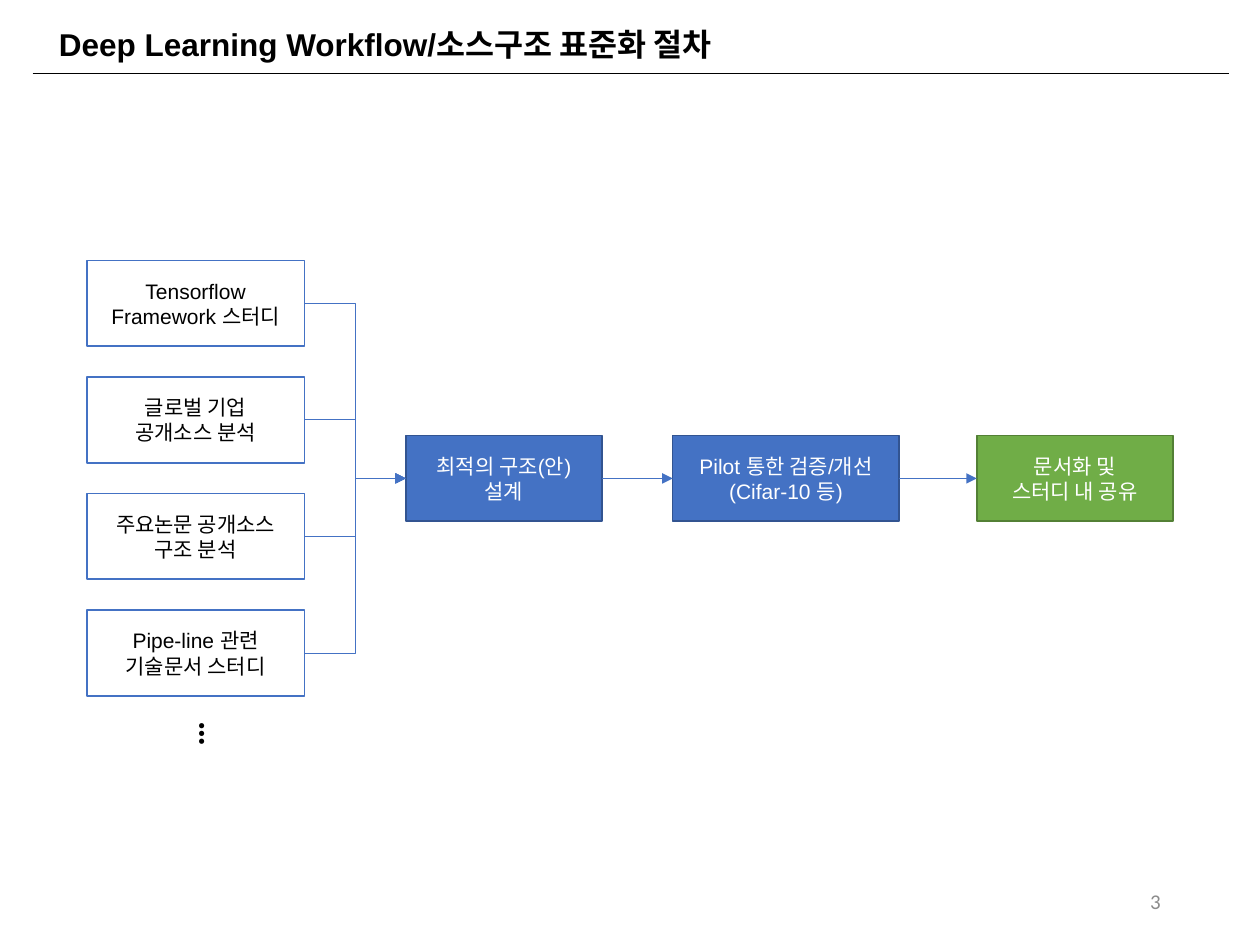
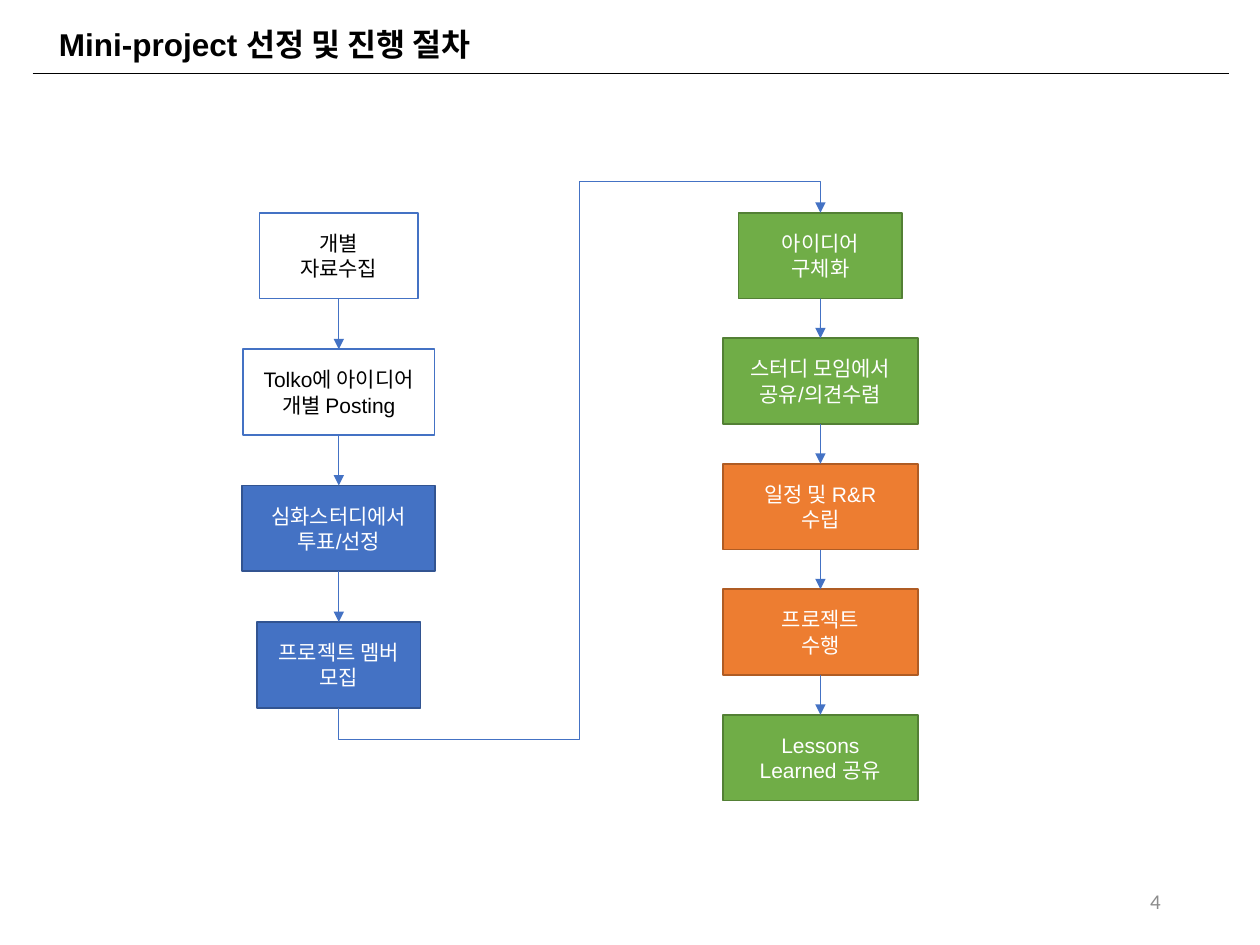
from lxml import etree
from pptx import Presentation
from pptx.dml.color import RGBColor
from pptx.enum import shapes, text
from pptx.oxml import ns
from pptx.util import Cm, Pt

BLACK = RGBColor(0x00, 0x00, 0x00)
WHITE = RGBColor(0xFF, 0xFF, 0xFF)
GRAY = RGBColor(0x8C, 0x8C, 0x8C)
BLUE = RGBColor(0x44, 0x72, 0xC4)
NAVY = RGBColor(0x32, 0x54, 0x91)
GREEN = RGBColor(0x70, 0xAD, 0x47)
MOSS = RGBColor(0x53, 0x80, 0x35)
ORANGE = RGBColor(0xED, 0x7D, 0x31)
RUST = RGBColor(0xAF, 0x5C, 0x24)

PLAIN = (WHITE, BLUE, BLACK)
MAIN = (BLUE, NAVY, WHITE)
SHARE = (GREEN, MOSS, WHITE)
WORK = (ORANGE, RUST, WHITE)

HIGH = 1.73
TOP, LEFT, BOTTOM, RIGHT = range(4)
STRAIGHT = shapes.MSO_CONNECTOR.STRAIGHT
ELBOW = shapes.MSO_CONNECTOR.ELBOW


def write(shape, words, size, color, face="Arial", bold=False,
          align=text.PP_ALIGN.LEFT, anchor=text.MSO_ANCHOR.TOP, wrap=True):
    frame = shape.text_frame
    frame.text = words
    frame.word_wrap = wrap
    frame.vertical_anchor = anchor
    if not wrap:
        frame.auto_size = text.MSO_AUTO_SIZE.SHAPE_TO_FIT_TEXT
    for para in frame.paragraphs:
        para.alignment = align
        para.font.size = Pt(size)
        para.font.name = face
        para.font.bold = bold
        para.font.color.rgb = color


def label(slide, box, words, size, color, **style):
    shape = slide.shapes.add_textbox(*map(Cm, box))
    write(shape, words, size, color, **style)
    return shape


def step(slide, left, top, width, words, theme):
    fill, edge, ink = theme
    shape = slide.shapes.add_shape(shapes.MSO_SHAPE.RECTANGLE,
                                   *map(Cm, (left, top, width, HIGH)))
    shape.shadow.inherit = False
    shape.fill.solid()
    shape.fill.fore_color.rgb = fill
    shape.line.color.rgb = edge
    shape.line.width = Pt(1)
    write(shape, words, 12, ink, align=text.PP_ALIGN.CENTER,
          anchor=text.MSO_ANCHOR.MIDDLE)
    return shape


def line(slide, color, kind=STRAIGHT, ends=(0, 0, 0, 0)):
    wire = slide.shapes.add_connector(kind, *map(Cm, ends))
    wire.line.color.rgb = color
    wire.line.width = Pt(0.5)
    etree.SubElement(wire._element.spPr, ns.qn("a:effectLst"))
    return wire


def link(slide, start, end, out, into, kind=STRAIGHT):
    wire = line(slide, BLUE, kind)
    wire.begin_connect(start, out)
    wire.end_connect(end, into)
    edge = wire._element.spPr.find(ns.qn("a:ln"))
    etree.SubElement(edge, ns.qn("a:tailEnd"), type="triangle")
    return wire


def detour(slide, start, end):
    wire = link(slide, start, end, BOTTOM, TOP, ELBOW)
    wide = wire.width
    tall = wire.height
    mid_x = wire.left + wide // 2
    mid_y = wire.top + tall // 2
    wire.left, wire.top = mid_x - tall // 2, mid_y - wide // 2
    wire.width, wire.height = tall, wide
    props = wire._element.spPr
    frame = props.find(ns.qn("a:xfrm"))
    for key, value in (("rot", "5400000"), ("flipH", "1"), ("flipV", "1")):
        frame.set(key, value)
    shape = props.find(ns.qn("a:prstGeom"))
    shape.set("prst", "bentConnector5")
    guides = shape.find(ns.qn("a:avLst"))
    if guides is None:
        guides = etree.SubElement(shape, ns.qn("a:avLst"))
    for rank, value in enumerate((-6400, 50000, 106400), 1):
        etree.SubElement(guides, ns.qn("a:gd"), name=f"adj{rank}",
                         fmla=f"val {value}")


def base(deck, title, width, number):
    slide = deck.slides.add_slide(deck.slide_layouts[6])
    line(slide, BLACK, ends=(0.66, 1.48, 24.77, 1.48))
    label(slide, (0.94, 0.38, width, 1.02), title, 18, BLACK,
          bold=True, wrap=False)
    label(slide, (17.93, 17.65, 5.72, 1.02), number, 12, GRAY, face="Calibri",
          align=text.PP_ALIGN.RIGHT, anchor=text.MSO_ANCHOR.MIDDLE)
    return slide


def sources(slide, left, top, width, pitch, names):
    boxes = [step(slide, left, top + i * pitch, width, name, PLAIN)
             for i, name in enumerate(names)]
    dots = label(slide, (left + 1.73, top + 9.04, 1.37, 0.76), "…", 20, BLACK,
                 face="Calibri", bold=True, wrap=False)
    dots.text_frame._txBody.bodyPr.set("vert", "eaVert")
    return boxes


def stages(slide, left, top, items):
    boxes = [step(slide, left + shift, top, *item) for shift, *item in items]
    for one, two in zip(boxes, boxes[1:]):
        link(slide, one, two, RIGHT, LEFT)
    return boxes


def column(slide, mid, top, pitch, items):
    boxes = [step(slide, mid - item[0] / 2, top + i * pitch, *item)
             for i, item in enumerate(items)]
    for one, two in zip(boxes, boxes[1:]):
        link(slide, one, two, BOTTOM, TOP)
    return boxes


def workflow(deck):
    slide = base(deck, "Deep Learning Workflow/소스구조 표준화 절차", 14.66, "3")
    inputs = sources(slide, 1.75, 5.25, 4.39, 2.35, (
        "Tensorflow\nFramework 스터디",
        "글로벌 기업\n공개소스 분석",
        "주요논문 공개소스\n구조 분석",
        "Pipe-line 관련\n기술문서 스터디"))
    chain = stages(slide, 8.18, 8.78, (
        (0, 3.96, "최적의 구조(안)\n설계", MAIN),
        (5.38, 4.57, "Pilot 통한 검증/개선\n(Cifar-10 등)", MAIN),
        (11.51, 3.96, "문서화 및\n스터디 내 공유", SHARE)))
    for box in inputs:
        link(slide, box, chain[0], RIGHT, LEFT, ELBOW)


def project(deck):
    slide = base(deck, "Mini-project 선정 및 진행 절차", 9.68, "4")
    choice = column(slide, 6.83, 4.29, 2.75, (
        (3.2, "개별\n자료수집", PLAIN),
        (3.86, "Tolko에 아이디어\n개별 Posting", PLAIN),
        (3.89, "심화스터디에서\n투표/선정", MAIN),
        (3.3, "프로젝트 멤버\n모집", MAIN)))
    action = column(slide, 16.54, 4.29, 2.53, (
        (3.3, "아이디어\n구체화", SHARE),
        (3.94, "스터디 모임에서\n공유/의견수렴", SHARE),
        (3.94, "일정 및 R&R\n수립", WORK),
        (3.94, "프로젝트\n수행", WORK),
        (3.94, "Lessons\nLearned 공유", SHARE)))
    detour(slide, choice[-1], action[0])


def main():
    deck = Presentation()
    deck.slide_width, deck.slide_height = Cm(25.4), Cm(19.05)
    workflow(deck)
    project(deck)
    deck.save("out.pptx")


if __name__ == "__main__":
    main()
